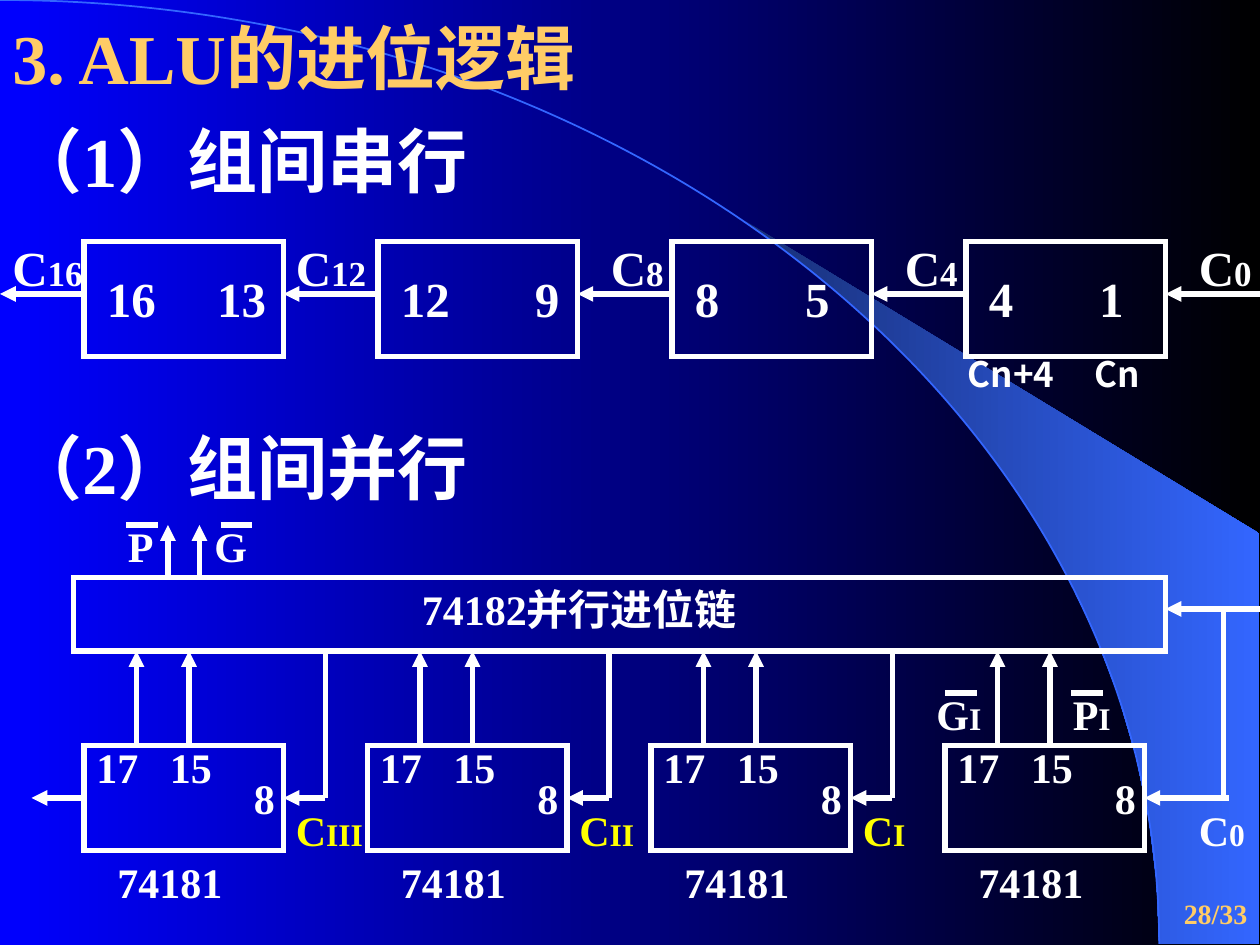
from math import cos, radians, sin

from lxml import etree
from pptx import Presentation
from pptx.dml.color import RGBColor
from pptx.enum.shapes import MSO_CONNECTOR, MSO_SHAPE
from pptx.enum.text import MSO_ANCHOR, PP_ALIGN
from pptx.oxml.ns import qn
from pptx.util import Inches, Pt

STRAIGHT = MSO_CONNECTOR.STRAIGHT
RECTANGLE = MSO_SHAPE.RECTANGLE
MIDDLE = MSO_ANCHOR.MIDDLE
RIGHT = PP_ALIGN.RIGHT
LEFT_SIDE, RIGHT_SIDE = 1, 3
LATIN, CHINESE = "Times New Roman", "Noto Sans CJK SC"
WHITE, GOLD, YELLOW, SKY = "FFFFFF", "FFCC66", "FFFF00", "3366FF"
colour = RGBColor.from_string

deck = Presentation()
deck.slide_width, deck.slide_height = Inches(10), Inches(7.5)
CELL = deck.slide_width // 120
slide = deck.slides.add_slide(deck.slide_layouts[6])
shapes = slide.shapes


def write(col, row, cols, text, size, small="", small_size=0, tint=WHITE,
          font=LATIN, tab=0, spacing=None):
    box = shapes.add_textbox(int(col * CELL), int(row * CELL), int(cols * CELL), 6 * CELL)
    frame = box.text_frame
    frame.word_wrap = True
    frame.margin_right = 0
    frame.text = text
    if small:
        frame.paragraphs[0].add_run().text = small
    for paragraph in frame.paragraphs:
        if tab:
            stops = etree.SubElement(paragraph._p.get_or_add_pPr(), qn("a:tabLst"))
            etree.SubElement(stops, qn("a:tab"), pos=str(int(tab * CELL)), algn="l")
        if spacing:
            paragraph.line_spacing = spacing
        for place, run in enumerate(paragraph.runs):
            run.font.size = Pt(small_size if place else size)
            run.font.bold = True
            run.font.name = font
            run.font.color.rgb = colour(tint)
            properties = run._r.get_or_add_rPr()
            properties.set("kern", "0")
            etree.SubElement(properties, qn("a:ea"), typeface=CHINESE)
    return frame


def link(start_col, start_row, end_col, end_row, arrow=True):
    ends = [int(n * CELL) for n in (start_col, start_row, end_col, end_row)]
    wire = shapes.add_connector(STRAIGHT, *ends)
    wire.line.color.rgb = colour(WHITE)
    wire.line.width = Pt(3)
    properties = wire._element.spPr
    if arrow:
        etree.SubElement(properties.find(qn("a:ln")), qn("a:tailEnd"), type="triangle")
    etree.SubElement(properties, qn("a:effectLst"))
    return wire


backdrop = slide.background.fill
backdrop.gradient()
backdrop.gradient_angle = 0
for stop, tint in zip(backdrop.gradient_stops, ("0000FF", "000000")):
    stop.color.rgb = colour(tint)

arc_width, arc_height = int(110.4 * CELL), int(89.9 * CELL)
angles = [radians(40 + 50 * i / 13) for i in range(14)]
edge = [(int(arc_width * sin(a)), int(arc_height * (1 - cos(a)))) for a in angles]
corners = [(int(119.9 * CELL), arc_height), (int(119.9 * CELL), int(50.8 * CELL))]

beam_path = shapes.build_freeform(*edge[0])
beam_path.add_line_segments(edge[1:] + corners, close=True)
beam = beam_path.convert_to_shape()
beam.shadow.inherit = False
beam.line.fill.background()
beam.fill.gradient()
beam.fill.gradient_angle = 0
for stop, tint in zip(beam.fill.gradient_stops, ("182F76", SKY)):
    stop.color.rgb = colour(tint)

horizon_path = shapes.build_freeform(0, 0)
horizon_path.add_line_segments([(arc_width, arc_height)], close=False)
horizon = horizon_path.convert_to_shape()
horizon.shadow.inherit = False
horizon.fill.background()
horizon.line.color.rgb = colour(SKY)
horizon.line.width = Pt(1)
chord = next(horizon._element.iter(qn("a:lnTo")))
curve = etree.Element(qn("a:cubicBezTo"))
for x, y in [(0.55 * arc_width, 0), (arc_width, 0.45 * arc_height), (arc_width, arc_height)]:
    etree.SubElement(curve, qn("a:pt"), x=str(int(x)), y=str(int(y)))
chord.getparent().replace(chord, curve)

heading = write(0, 3, 116, "3. ALU的进位逻辑\n（1）组间串行", 40, spacing=0.7)
heading.paragraphs[0].runs[0].font.color.rgb = colour(GOLD)
heading.paragraphs[1].space_before = Pt(25)
write(0, 42, 116, "（2）组间并行", 40, spacing=0.7)

serial_cols = [8 + 28 * i for i in range(4)]
unit_cols = [8, 35, 62, 90]
outlines = [(col, 23, 19, 11) for col in serial_cols]
outlines += [(7, 55, 104, 7)]
outlines += [(col, 71, 19, 10) for col in unit_cols]
blocks = []
for outline in outlines:
    block = shapes.add_shape(RECTANGLE, *(n * CELL for n in outline))
    block.shadow.inherit = False
    block.fill.background()
    block.line.color.rgb = colour(WHITE)
    block.line.width = Pt(3)
    etree.SubElement(block._element.spPr.find(qn("a:ln")), qn("a:miter"), lim="800000")
    blocks.append(block)
units = blocks[5:]

serial_bits = [("16", "13", 10.5), ("12", "9", 12.75), ("8", "5", 10.5), ("4", "1", 10.5)]
for col, (high, low, tab) in zip(serial_cols, serial_bits):
    write(col + 1, 25, 18, f"{high}\t{low}", 28, tab=tab)
    link(col + 28, 28, col + 19, 28)
link(8, 28, 0, 28)
for col, cols, carry in [(0, 12, "16"), (27, 12, "12"), (57, 12, "8"), (85, 12, "4"), (113, 7, "0")]:
    write(col, 22, cols, "C", 28, carry, 20)
write(91, 33, 25, "Cn+4\tCn", 20, font=CHINESE, tab=12.1)

for col, unit, carry in zip(unit_cols, units, ("III", "II", "I", "")):
    write(col, 70, 18, "17\t15", 24, tab=7)
    write(col + 15, 73, 8, "8", 24)
    write(col + 2, 81, 16, "74181", 24)
    for pin in (5, 10):
        link(col + pin, 71, col + pin, 62)
    if carry:
        write(col + 19, 76, 11, "C", 24, carry, 18, tint=YELLOW)
        link(col + 23, 62, col + 23, 76, arrow=False)
    feed = link(col + 23 if carry else 117, 76, col + 19, 76)
    feed.end_connect(unit, RIGHT_SIDE)
carry_out = link(8, 76, 3, 76)
carry_out.begin_connect(units[0], LEFT_SIDE)

write(39, 55, 37, "74182并行进位链", 24)
link(120, 58, 111, 58)
link(116.5, 58, 116.5, 76, arrow=False)
write(113, 76, 7, "C", 24, "0", 18)

for col, signal in [(88, "G"), (101, "P")]:
    write(col, 65, 11, signal, 24, "I", 18)
write(11, 49, 15, "P\tG", 24, tab=8.25)
for col, row in [(90, 66), (102, 66), (12, 50), (21, 50)]:
    link(col, row, col + 3, row, arrow=False)
for col in (16, 19):
    link(col, 55, col, 50)

page = write(90, 84, 28.8, "28/33", 16, tint=GOLD)
page.vertical_anchor = MIDDLE
page.paragraphs[0].alignment = RIGHT

deck.save("out.pptx")
